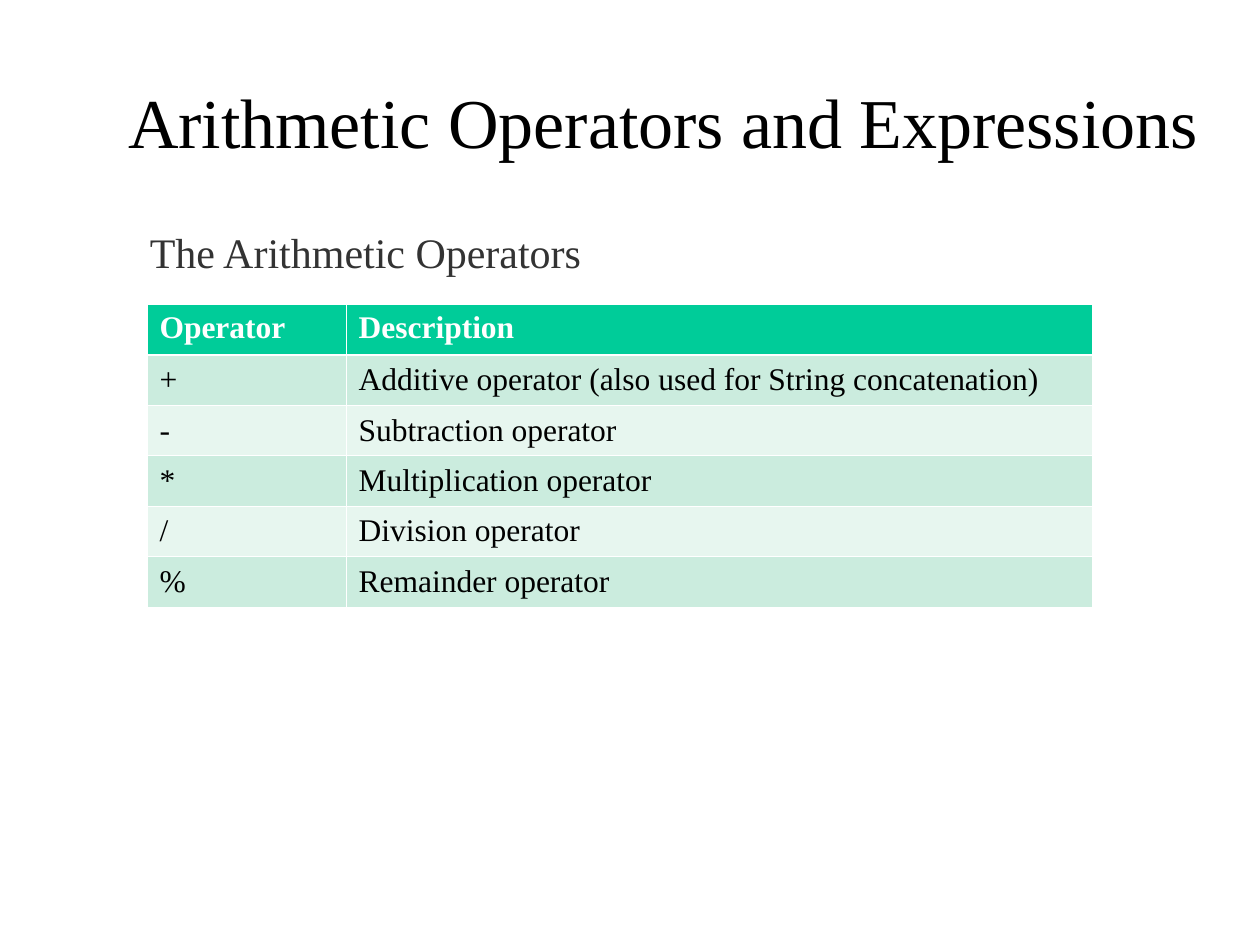
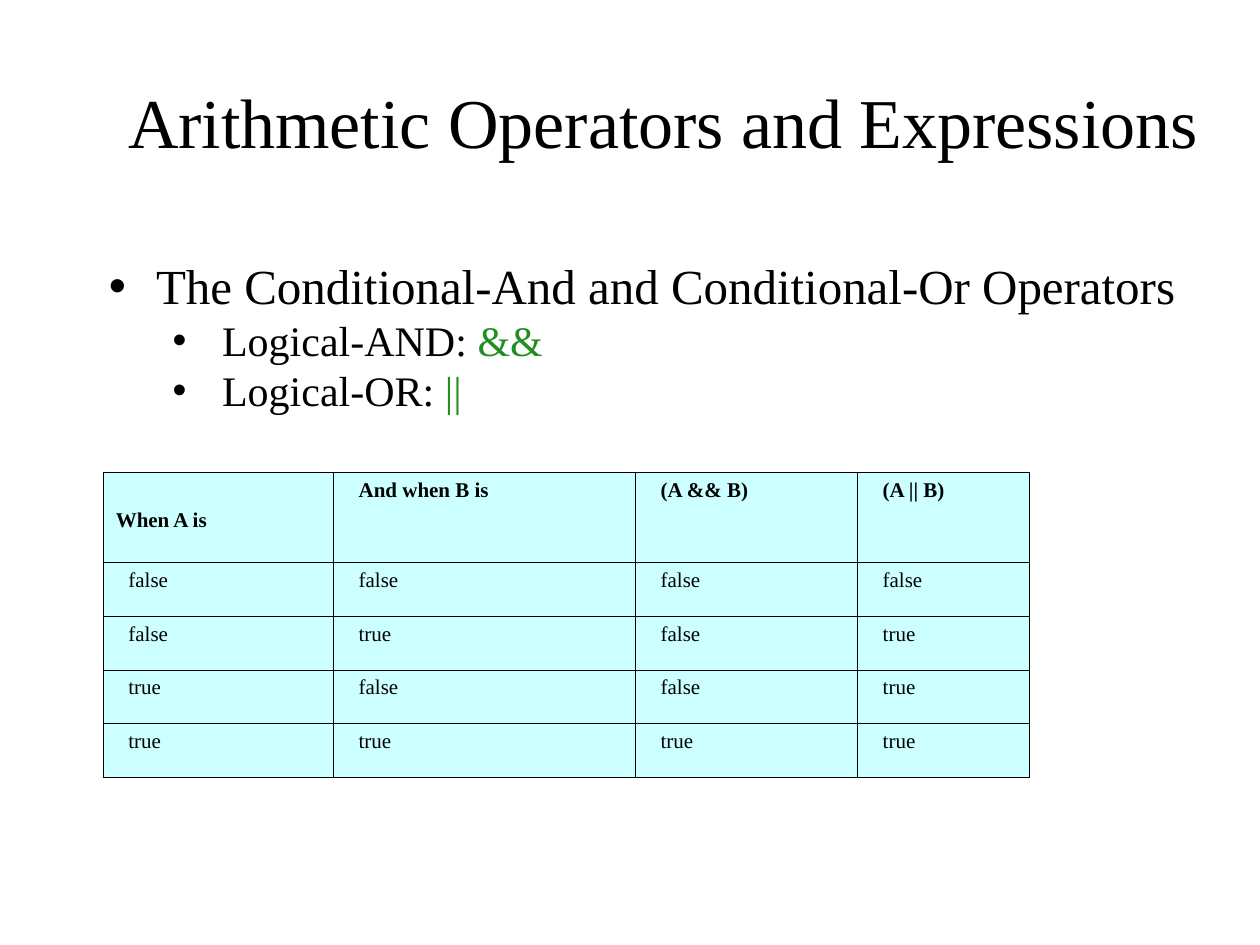
from dataclasses import dataclass

from pptx import Presentation
from pptx.dml.color import RGBColor
from pptx.enum.text import MSO_ANCHOR as Anchor, MSO_AUTO_SIZE as AutoSize, PP_ALIGN as Align
from pptx.oxml.ns import qn
from pptx.util import Pt
from lxml.etree import SubElement

# Shared look
FONT = "Times New Roman"
BLACK, WHITE, GREY, GREEN = "000000", "FFFFFF", "333333", "228D22"
HEADER_GREEN, BAND_DARK, BAND_LIGHT = "00CC99", "CBECDE", "E7F6EF"
PALE_CYAN = "CCFFFF"
TITLE = "Arithmetic Operators and Expressions"
TITLE_ONLY, TITLE_AND_CONTENT = 5, 1
INSET_X, INSET_Y = 7.2, 3.6


@dataclass
class TableStyle:
    header_fill: str
    band_fills: tuple[str, ...]
    header_color: str
    border_color: str
    border_width: float
    header_rule_width: float
    font_size: float
    margin_left: float
    body_anchor: Anchor


@dataclass
class TableSpec:
    left: float
    top: float
    columns: list[float]
    header_height: float
    row_height: float
    rows: list[list[str]]
    style: TableStyle


@dataclass
class ListItem:
    text: str
    symbol: str
    level: int
    size: float


@dataclass
class LevelStyle:
    margin: float
    indent: float
    bullet_size: int


BANDED = TableStyle(HEADER_GREEN, (BAND_DARK, BAND_LIGHT), WHITE, WHITE, 0.45, 1.47, 18,
                    INSET_X, Anchor.MIDDLE)
GRID = TableStyle(PALE_CYAN, (PALE_CYAN,), BLACK, BLACK, 0.34, 0.34, 12,
                  2 * INSET_X, Anchor.TOP)

OPERATORS = TableSpec(84, 174, [113.8, 426.2], 28.8, 28.8, [
    ["Operator", "Description"],
    ["+", "Additive operator (also used for String concatenation)"],
    ["-", "Subtraction operator"],
    ["*", "Multiplication operator"],
    ["/", "Division operator"],
    ["%", "Remainder operator"],
], BANDED)

TRUTH_TABLE = TableSpec(59, 270, [131.6, 172.6, 126.9, 98.1], 51.3, 30.75, [
    ["When A is", "And when B is", "(A && B)", "(A || B)"],
    ["false", "false", "false", "false"],
    ["false", "true", "false", "true"],
    ["true", "false", "false", "true"],
    ["true", "true", "true", "true"],
], GRID)

LEVELS = [LevelStyle(28, -27, 100), LevelStyle(65.7, -28.3, 94)]
CONDITIONALS = [
    ListItem("The Conditional-And and Conditional-Or Operators", "", 0, 28),
    ListItem("Logical-AND: ", "&&", 1, 24),
    ListItem("Logical-OR: ", "||", 1, 24),
]


def rgb(color: str) -> RGBColor:
    return RGBColor.from_string(color)


def set_font(font, size: float, color: str, bold: bool = False) -> None:
    font.name, font.size, font.bold = FONT, Pt(size), bold
    font.color.rgb = rgb(color)


def place(shape, left: float, top: float, width: float, height: float) -> None:
    shape.left, shape.top = Pt(left), Pt(top)
    shape.width, shape.height = Pt(width), Pt(height)


def add_titled_slide(presentation, layout: int):
    slide = presentation.slides.add_slide(presentation.slide_layouts[layout])
    title = slide.shapes.title
    place(title, 66, 24, 642, 90)
    frame = title.text_frame
    frame.text = TITLE
    frame.auto_size = AutoSize.NONE
    frame.vertical_anchor = Anchor.MIDDLE
    paragraph = frame.paragraphs[0]
    paragraph.alignment = Align.LEFT
    set_font(paragraph.font, 40, BLACK)
    return slide


def add_border(cell, side: str, color: str, width: float) -> None:
    line = SubElement(cell._tc.get_or_add_tcPr(), qn(f"a:ln{side}"), w=str(Pt(width)))
    fill = SubElement(line, qn("a:solidFill"))
    SubElement(fill, qn("a:srgbClr"), val=color)


def add_table(slide, spec: TableSpec):
    style = spec.style
    body_count = len(spec.rows) - 1
    height = spec.header_height + body_count * spec.row_height
    table = slide.shapes.add_table(len(spec.rows), len(spec.columns), Pt(spec.left), Pt(spec.top),
                                   Pt(sum(spec.columns)), Pt(height)).table
    table.first_row = table.horz_banding = False
    for column, width in zip(table.columns, spec.columns):
        column.width = Pt(width)
    for row_index, texts in enumerate(spec.rows):
        is_header = row_index == 0
        table.rows[row_index].height = Pt(spec.header_height if is_header else spec.row_height)
        fill = style.header_fill if is_header else style.band_fills[(row_index - 1) % len(style.band_fills)]
        for column_index, text in enumerate(texts):
            cell = table.cell(row_index, column_index)
            cell.text = text
            cell.margin_left, cell.margin_right = Pt(style.margin_left), Pt(INSET_X)
            cell.margin_top = cell.margin_bottom = Pt(INSET_Y)
            cell.vertical_anchor = Anchor.TOP if is_header else style.body_anchor
            # Borders precede the fill in the cell properties
            for side in "LRTB":
                on_header_rule = (row_index, side) in ((0, "B"), (1, "T"))
                width = style.header_rule_width if on_header_rule else style.border_width
                add_border(cell, side, style.border_color, width)
            cell.fill.solid()
            cell.fill.fore_color.rgb = rgb(fill)
            color = style.header_color if is_header else BLACK
            set_font(cell.text_frame.paragraphs[0].font, style.font_size, color, is_header)
    return table


def add_bullet(paragraph, level: LevelStyle) -> None:
    properties = paragraph._p.get_or_add_pPr()
    properties.set("marL", str(Pt(level.margin)))
    properties.set("indent", str(Pt(level.indent)))
    color = SubElement(properties, qn("a:buClr"))
    SubElement(color, qn("a:srgbClr"), val=BLACK)
    SubElement(properties, qn("a:buSzPct"), val=str(level.bullet_size * 1000))
    SubElement(properties, qn("a:buChar"), char="•")


def fill_list(body, items: list[ListItem]) -> None:
    frame = body.text_frame
    frame.auto_size = AutoSize.NONE
    for index, item in enumerate(items):
        paragraph = frame.paragraphs[0] if index == 0 else frame.add_paragraph()
        paragraph.level = item.level
        paragraph.alignment = Align.JUSTIFY
        paragraph.space_before = Pt(0)
        add_bullet(paragraph, LEVELS[item.level])
        set_font(paragraph.font, item.size, BLACK)
        paragraph.add_run().text = item.text
        if item.symbol:
            symbol = paragraph.add_run()
            symbol.text = item.symbol
            symbol.font.color.rgb = rgb(GREEN)


def build_operators_slide(presentation) -> None:
    slide = add_titled_slide(presentation, TITLE_ONLY)
    add_table(slide, OPERATORS)
    # Table heading
    heading = slide.shapes.add_textbox(Pt(78.5), Pt(126), Pt(262), Pt(36))
    frame = heading.text_frame
    frame.word_wrap = False
    frame.text = "The Arithmetic Operators"
    set_font(frame.paragraphs[0].font, 24, GREY)


def build_conditionals_slide(presentation) -> None:
    slide = add_titled_slide(presentation, TITLE_AND_CONTENT)
    body = slide.placeholders[1]
    place(body, 54, 142.5, 636, 98.6)
    fill_list(body, CONDITIONALS)
    table = add_table(slide, TRUTH_TABLE)
    # The first heading sits one line lower and further left
    corner = table.cell(0, 0)
    corner.margin_left, corner.margin_top = Pt(INSET_X), Pt(20.9)


def main() -> None:
    presentation = Presentation()
    presentation.slide_width, presentation.slide_height = Pt(720), Pt(540)
    build_operators_slide(presentation)
    build_conditionals_slide(presentation)
    presentation.save("out.pptx")


if __name__ == "__main__":
    main()
